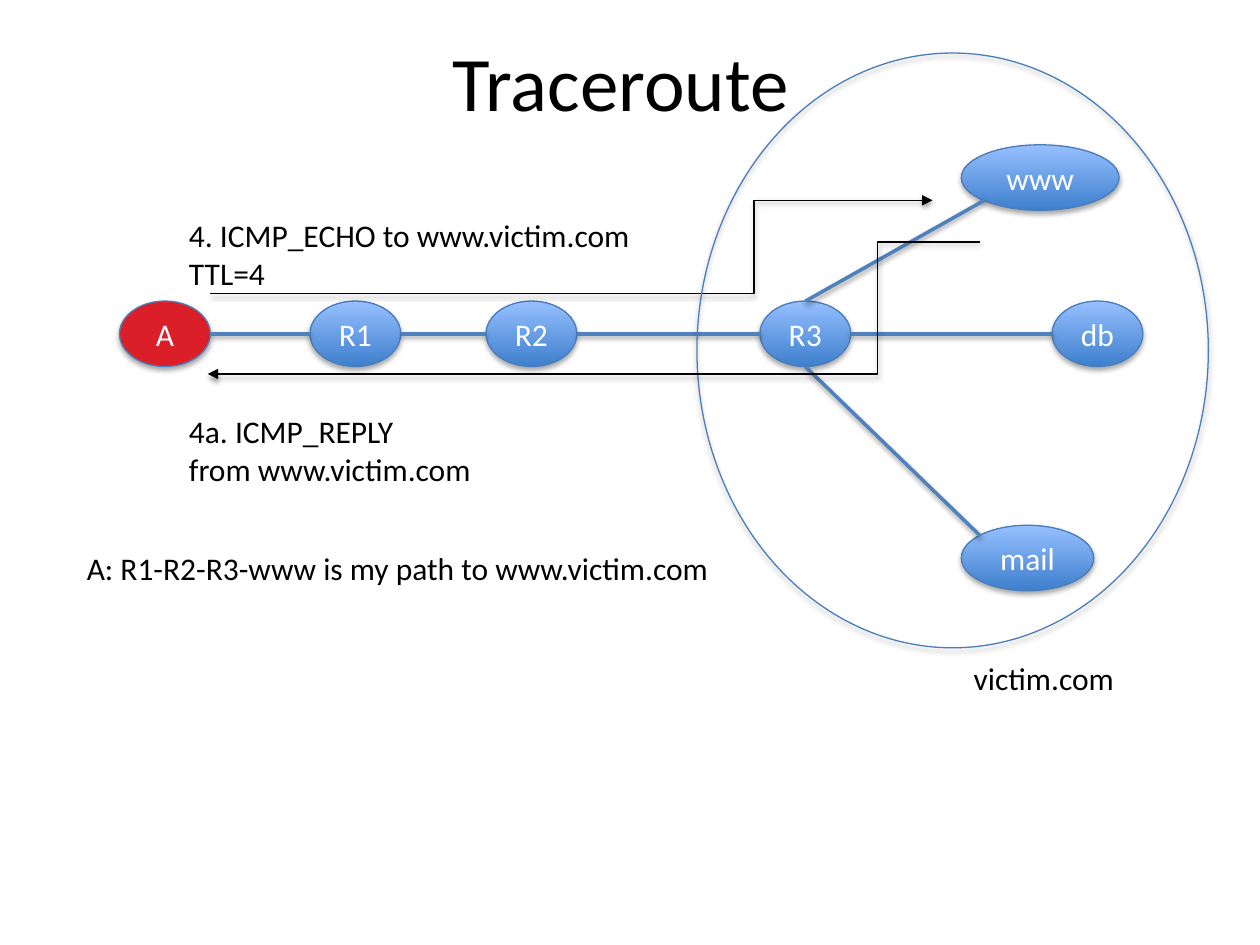
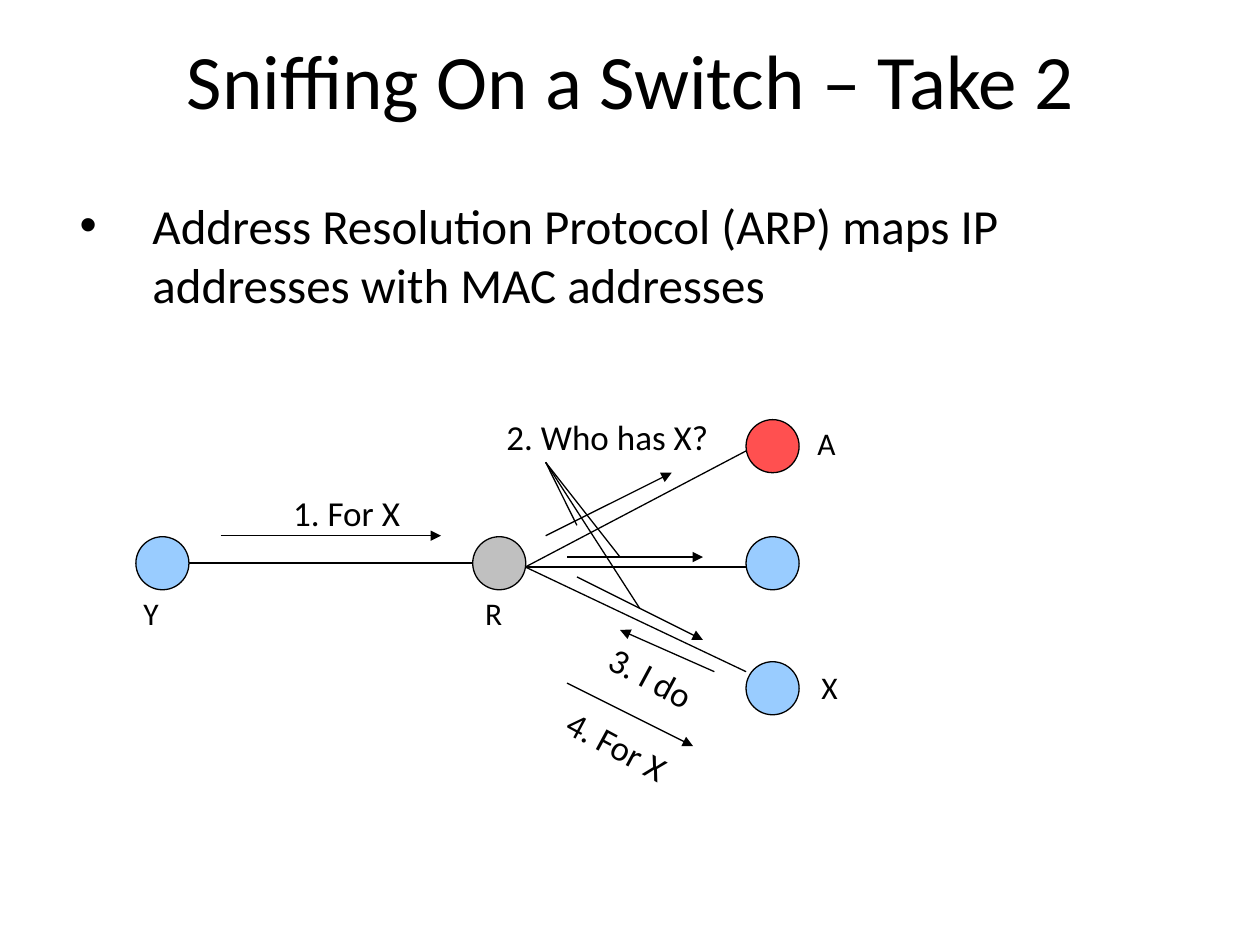
"""Build two network diagram slides: a traceroute and sniffing on a switch."""
from dataclasses import dataclass, field
from itertools import pairwise
from typing import Optional

import lxml.etree
import pptx
import pptx.dml.color
import pptx.enum.shapes
import pptx.enum.text
import pptx.oxml.ns
import pptx.presentation
import pptx.slide
import pptx.text.text
import pptx.util

Cm = pptx.util.Cm
Pt = pptx.util.Pt
qn = pptx.oxml.ns.qn
Point = tuple[float, float]
Box = tuple[float, float, float, float]


@dataclass(frozen=True)
class Shadow:
    opacity: int
    blur: float
    distance: float


@dataclass(frozen=True)
class Theme:
    font: str = "Calibri"
    title_size: int = 44
    body_size: int = 28
    step_size: int = 20
    label_size: int = 18
    ink: str = "000000"
    node_text: str = "FFFFFF"
    node_line: str = "4A7DBA"
    node_gradient: tuple[str, str] = ("3E7FCD", "96C0FF")
    link: str = "4F81BD"
    attacker: str = "DA1F28"
    host: str = "99CCFF"
    sniffer: str = "FF5050"
    switch: str = "C0C0C0"
    thin: float = 0.75
    thick: float = 2
    node_shadow: Shadow = field(default=Shadow(35, 3.1, 1.8))
    line_shadow: Shadow = field(default=Shadow(38, 3.1, 1.6))


THEME = Theme()


@dataclass(frozen=True)
class Oval:
    box: Box
    fill: str | tuple[str, str] | None = None
    line: str = THEME.ink
    text: str = ""
    shadow: Optional[Shadow] = None


@dataclass(frozen=True)
class Line:
    start: Point
    end: Point
    color: str = THEME.ink
    width: float = THEME.thin
    arrow: str = ""
    bend: float = 0
    shadow: Optional[Shadow] = None


@dataclass(frozen=True)
class Label:
    box: Box
    paragraphs: tuple[str, ...]
    size: int = THEME.label_size
    rotation: float = 0


def rgb(value: str) -> pptx.dml.color.RGBColor:
    return pptx.dml.color.RGBColor.from_string(value)


def lengths(values: tuple[float, ...]) -> list[pptx.util.Length]:
    return [Cm(value) for value in values]


def add_run(paragraph: pptx.text.text._Paragraph, text: str, size: int, color: str = THEME.ink) -> None:
    run = paragraph.add_run()
    run.text = text
    run.font.name = THEME.font
    run.font.size = Pt(size)
    run.font.color.rgb = rgb(color)


def add_shadow(effects: lxml.etree._Element, shadow: Optional[Shadow]) -> None:
    if shadow is None:
        return
    outer = lxml.etree.SubElement(
        effects, qn("a:outerShdw"), blurRad=str(int(Pt(shadow.blur))),
        dist=str(int(Pt(shadow.distance))), dir="5400000", rotWithShape="0")
    color = lxml.etree.SubElement(outer, qn("a:srgbClr"), val=THEME.ink)
    lxml.etree.SubElement(color, qn("a:alpha"), val=str(shadow.opacity * 1000))


def add_oval(slide: pptx.slide.Slide, oval: Oval) -> None:
    shape = slide.shapes.add_shape(pptx.enum.shapes.MSO_SHAPE.OVAL, *lengths(oval.box))
    shape.shadow.inherit = False
    if oval.fill is None:
        shape.fill.background()
    elif isinstance(oval.fill, str):
        shape.fill.solid()
        shape.fill.fore_color.rgb = rgb(oval.fill)
    else:
        shape.fill.gradient()
        shape.fill.gradient_angle = 90
        for stop, color in zip(shape.fill.gradient_stops, oval.fill):
            stop.color.rgb = rgb(color)
    shape.line.color.rgb = rgb(oval.line)
    shape.line.width = Pt(THEME.thin)
    add_shadow(shape._element.spPr.find(qn("a:effectLst")), oval.shadow)
    if oval.text:
        paragraph = shape.text_frame.paragraphs[0]
        paragraph.alignment = pptx.enum.text.PP_ALIGN.CENTER
        add_run(paragraph, oval.text, THEME.label_size, THEME.node_text)


def add_line(slide: pptx.slide.Slide, line: Line) -> None:
    kinds = pptx.enum.shapes.MSO_CONNECTOR
    kind = kinds.ELBOW if line.bend else kinds.STRAIGHT
    connector = slide.shapes.add_connector(kind, *lengths(line.start + line.end))
    connector.line.color.rgb = rgb(line.color)
    connector.line.width = Pt(line.width)
    properties = connector._element.spPr
    if line.arrow:
        lxml.etree.SubElement(properties.find(qn("a:ln")), qn(f"a:{line.arrow}End"), type="triangle")
    if line.bend:
        guides = properties.find(qn("a:prstGeom")).find(qn("a:avLst"))
        lxml.etree.SubElement(guides, qn("a:gd"), name="adj1", fmla=f"val {round(line.bend * 100000)}")
    add_shadow(lxml.etree.SubElement(properties, qn("a:effectLst")), line.shadow)


def add_label(slide: pptx.slide.Slide, label: Label) -> None:
    shape = slide.shapes.add_textbox(*lengths(label.box))
    shape.rotation = label.rotation
    frame = shape.text_frame
    frame.word_wrap = True
    for index, text in enumerate(label.paragraphs):
        paragraph = frame.add_paragraph() if index else frame.paragraphs[0]
        for row, part in enumerate(text.split("\n")):
            if row:
                paragraph.add_line_break()
            add_run(paragraph, part, label.size)


def place(shape: pptx.shapes.base.BaseShape, box: Box) -> None:
    shape.left, shape.top, shape.width, shape.height = lengths(box)
    shape.text_frame.auto_size = pptx.enum.text.MSO_AUTO_SIZE.NONE


def add_slide(presentation: pptx.presentation.Presentation, layout: int, title: str, box: Box) -> pptx.slide.Slide:
    slide = presentation.slides.add_slide(presentation.slide_layouts[layout])
    shape = slide.shapes.title
    place(shape, box)
    frame = shape.text_frame
    frame.margin_left = frame.margin_top = frame.margin_right = frame.margin_bottom = 0
    frame.vertical_anchor = pptx.enum.text.MSO_ANCHOR.MIDDLE
    frame.paragraphs[0].alignment = pptx.enum.text.PP_ALIGN.CENTER
    add_run(frame.paragraphs[0], title, THEME.title_size)
    return slide


def add_bullet(slide: pptx.slide.Slide, text: str, box: Box) -> None:
    body = slide.placeholders[1]
    place(body, box)
    paragraph = body.text_frame.paragraphs[0]
    add_run(paragraph, text, THEME.body_size)
    properties = paragraph._p.get_or_add_pPr()
    properties.set("marL", str(int(Cm(1.75))))
    properties.set("indent", str(int(Cm(-1.47))))
    lxml.etree.SubElement(properties, qn("a:buChar"), char="•")


def build_traceroute(presentation: pptx.presentation.Presentation) -> None:
    slide = add_slide(presentation, 5, "Traceroute", (1.3, 0.03, 22.43, 3.18))
    hop_top, hop_width, hop_height = 6.07, 1.83, 1.32
    hops = {"A": 2.41, "R1": 6.25, "R2": 9.8, "R3": 15.32, "db": 21.21}
    nodes = [(name, (left, hop_top, hop_width, hop_height)) for name, left in hops.items()]
    nodes += [("www", (19.38, 2.92, 3.18, hop_height)), ("mail", (19.38, 10.59, 2.67, hop_height))]
    for name, box in nodes:
        fill = THEME.attacker if name == "A" else THEME.node_gradient
        add_oval(slide, Oval(box, fill, THEME.node_line, name, THEME.node_shadow))

    hop_middle = hop_top + hop_height / 2
    gateway_center = hops["R3"] + hop_width / 2
    links = [((left + hop_width, hop_middle), (following, hop_middle))
             for left, following in pairwise(hops.values())]
    links += [((gateway_center, hop_top), (19.84, 4.04)),
              ((gateway_center, hop_top + hop_height), (19.76, 10.8))]
    for start, end in links:
        add_line(slide, Line(start, end, THEME.link, THEME.thick, shadow=THEME.line_shadow))

    add_line(slide, Line((4.24, 5.92), (18.8, 4.04), arrow="tail", bend=0.753, shadow=THEME.line_shadow))
    add_oval(slide, Oval((14.05, 1.07, 10.31, 11.99), line=THEME.node_line, shadow=THEME.node_shadow))
    add_line(slide, Line((4.19, 7.54), (19.76, 4.88), arrow="head", bend=0.867, shadow=THEME.line_shadow))
    for label in (
        Label((3.56, 4.24, 10.49, 1.8), ("4. ICMP_ECHO to www.victim.com", "TTL=4")),
        Label((3.56, 8.18, 6.53, 1.8), ("4a. ICMP_REPLY\nfrom www.victim.com",)),
        Label((19.38, 13.16, 3.68, 1.02), ("victim.com",)),
        Label((1.5, 10.95, 14.38, 1.02), ("A: R1-R2-R3-www is my path to www.victim.com",)),
    ):
        add_label(slide, label)


def build_sniffing(presentation: pptx.presentation.Presentation) -> None:
    slide = add_slide(presentation, 1, "Sniffing On a Switch – Take 2", (1.07, 0, 23.29, 3.18))
    add_bullet(slide, "Address Resolution Protocol (ARP) maps IP addresses with MAC addresses",
               (1.07, 3.81, 23.06, 14.4))
    diameter, row, host_left, switch_left = 1.07, 10.82, 15.04, 9.53
    for left, top, fill in (
        (2.74, row, THEME.host),
        (host_left, 8.46, THEME.sniffer),
        (host_left, row, THEME.host),
        (host_left, 13.34, THEME.host),
        (switch_left, row, THEME.switch),
    ):
        add_oval(slide, Oval((left, top, diameter, diameter), fill))

    add_line(slide, Line((3.81, 11.35), (switch_left, 11.35)))
    for height in (9.09, 11.43, 13.54):
        add_line(slide, Line((10.59, 11.43), (host_left, height)))
    for end in ((11.63, 10.59), (12.5, 11.23), (12.9, 12.27)):
        add_line(slide, Line((11, 9.32), end))
    for start, end in (
        ((4.45, 10.8), (8.89, 10.8)),
        ((11, 10.8), (13.54, 9.53)),
        ((11.43, 11.23), (14.17, 11.23)),
        ((11.63, 11.63), (14.17, 12.9)),
        ((14.4, 13.54), (12.5, 12.7)),
        ((11.43, 13.77), (13.97, 15.04)),
    ):
        add_line(slide, Line(start, end, arrow="tail"))

    for text, left, top, width, rotation in (
        ("1. For X", 5.66, 9.78, 2.9, 0),
        ("2. Who has X?", 9.96, 8.26, 4.7, 0),
        ("3. I do", 11.99, 13.11, 2.34, 28.3),
        ("4. For X", 11.1, 14.53, 2.9, 28.3),
    ):
        add_label(slide, Label((left, top, width, 1.09), (text,), THEME.step_size, rotation))
    for name, left, top in (("X", 16.31, 13.34), ("A", 16.23, 8.43), ("R", 9.53, 11.86), ("Y", 2.64, 11.86)):
        add_label(slide, Label((left, top, 1.12, 1.27), (name,)))


def main() -> None:
    presentation = pptx.Presentation()
    presentation.slide_width, presentation.slide_height = Cm(25.4), Cm(19.05)
    build_traceroute(presentation)
    build_sniffing(presentation)
    presentation.save("out.pptx")


if __name__ == "__main__":
    main()
